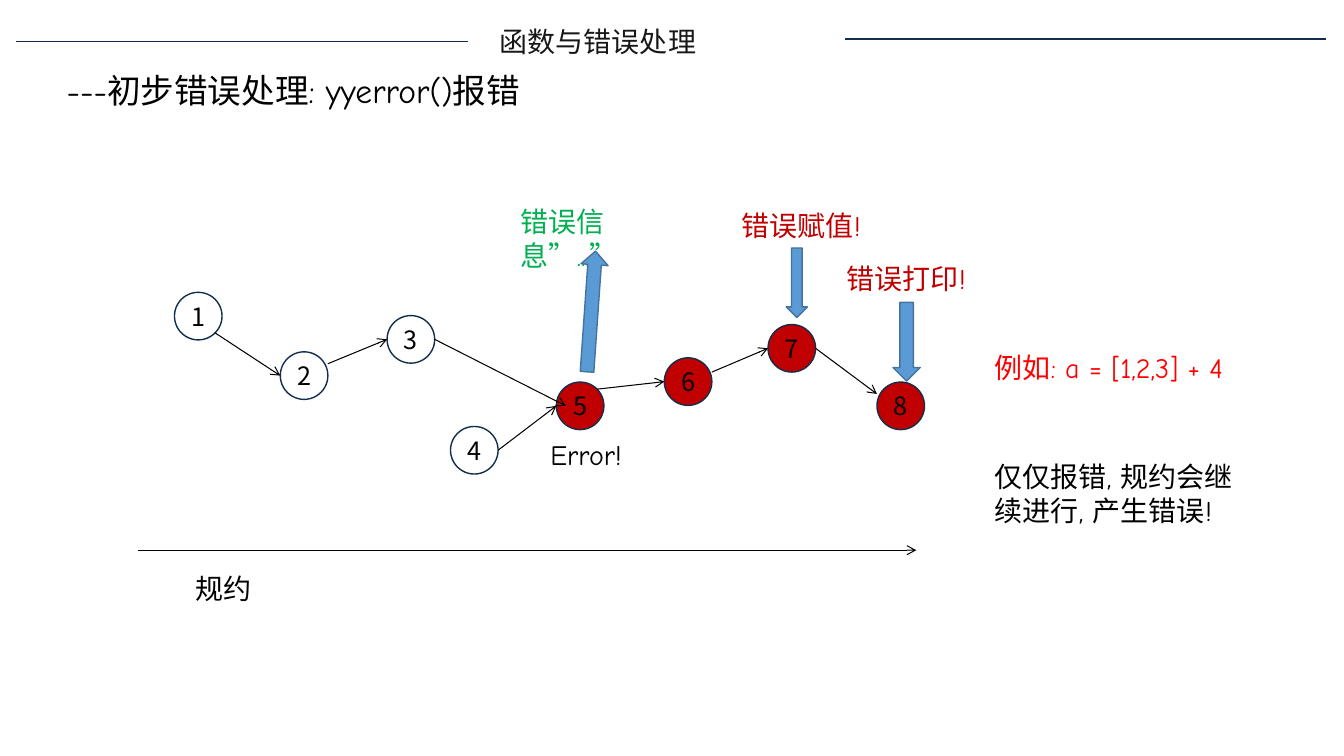
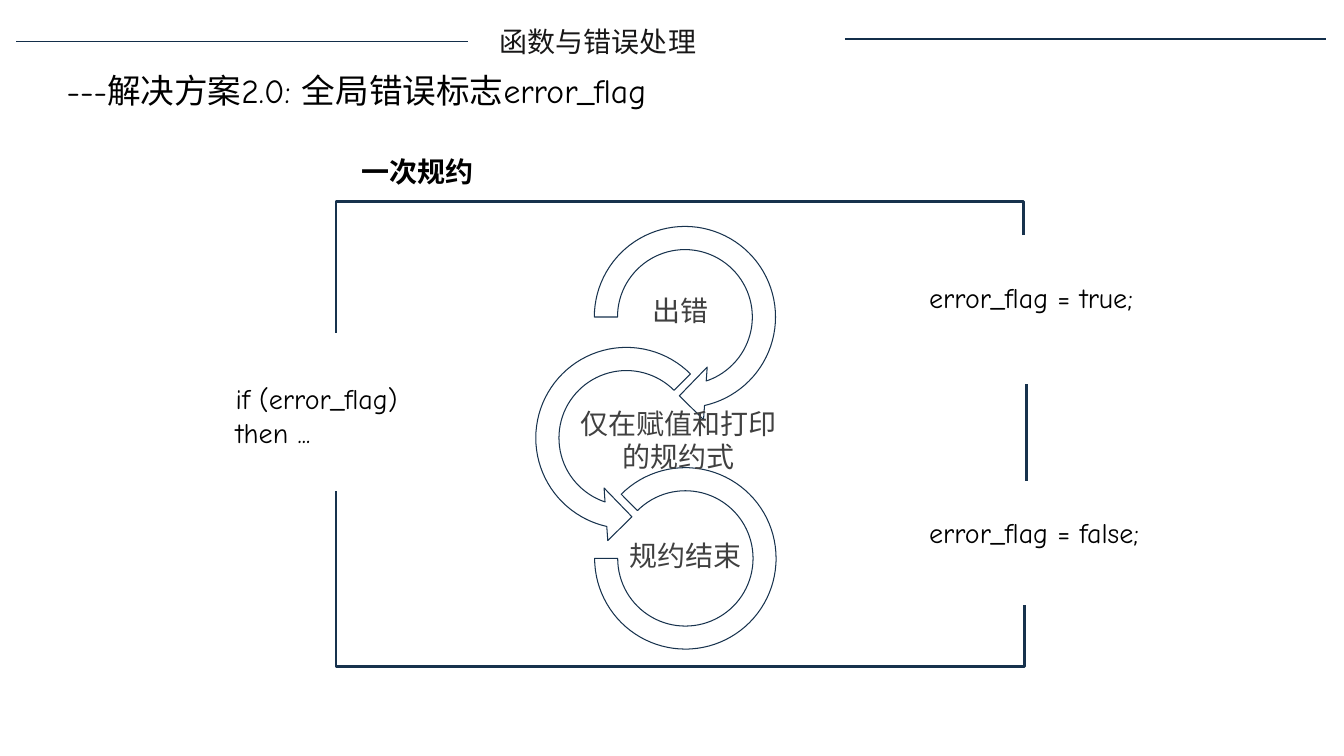
import pptx
import pptx.util
import pptx.dml.color
import pptx.enum.shapes
import pptx.enum.text
import pptx.oxml.ns
import lxml.etree

Pt = pptx.util.Pt
MSO_SHAPE = pptx.enum.shapes.MSO_SHAPE
ALIGN = pptx.enum.text.PP_ALIGN
ANCHOR = pptx.enum.text.MSO_ANCHOR
qn = pptx.oxml.ns.qn

COLORS = {
    "black": "000000", "heading": "181717", "navy": "132E4A", "frame": "17324D",
    "error": "C00000", "red": "FF0000", "green": "00B050", "gray": "404040",
    "arrow": "5B9BD5", "arrow_edge": "43739E",
}
HAND, CJK, ROUND = "Comic Neue", "Noto Sans CJK SC", "Quicksand"

SECTION = "函数与错误处理"
SECTION_BOX = (357, 17.3, 217, 24.5)
SECTION_RULES = [((11.5, 29.5), (334, 29.5)), ((603.5, 28), (947.5, 28))]
TITLE_BOX = (40.3, 46, 524, 36)

REDUCTION_TITLE = "---初步错误处理: yyerror()报错"
NODE_SIZE = 34
NODES = {
    1: (124.6, 208.8, None), 2: (200.2, 251.3, None), 3: (276.5, 225.4, None),
    4: (321.8, 304.6, None), 5: (397.4, 272.9, "error"), 6: (474.5, 255.6, "error"),
    7: (548.6, 231.8, "error"), 8: (626.4, 272.9, "error"),
}
LINKS = [
    (1, (0.85, 0.85), 2, (0, 0.5)), (2, (1, 0.25), 3, (0, 0.5)),
    (3, (1, 0.5), 5, (0.2, 0.5)), (4, (1, 0.5), 5, (0, 0.5)),
    (5, (0.85, 0.15), 6, (0, 0.5)), (6, (1, 0.3), 7, (0, 0.5)),
    (7, (1, 0.5), 8, (0, 0.25)),
]
REDUCTION_AXIS = ((98.6, 393), (654.5, 393))
EFFECT_ARROWS = [
    ((412.6, 179.3, 19.4, 86.4), 184),
    ((561.6, 177.1, 15.1, 49.7), 0),
    ((637.9, 216, 19.4, 56.2), 0),
]
REDUCTION_NOTES = [
    ("Error!", (386, 309, 94, 32), "black"),
    ("规约", (132.5, 404.6, 94, 32), "black"),
    ("错误信息”...”", (365, 142.6, 133, 32), "green"),
    ("错误打印!", (597.6, 183, 106.6, 32), "error"),
    ("错误赋值!", (522.7, 145.4, 103.7, 32), "error"),
    ("仅仅报错, 规约会继续进行, 产生错误!", (703.4, 324.7, 192, 55.4), "black"),
    ("例如: a = [1,2,3] + 4", (703.4, 247, 192, 32), "red"),
]

FLAG_TITLE = "---解决方案2.0: 全局错误标志error_flag"
CYCLE = [
    (MSO_SHAPE.CIRCULAR_ARROW, (414, 151.2, 150.5, 150.5), (0.11, 11.42, 45, 108, 0.125)),
    (MSO_SHAPE.LEFT_CIRCULAR_ARROW, (372.2, 237.6, 150.5, 150.5), (0.11, 11.42, 63, 189, 0.125)),
    (MSO_SHAPE.BLOCK_ARC, (424.8, 334.1, 129.6, 129.6), (135, 108, 0.127)),
]
CYCLE_STEPS = [
    ("出错", (447.8, 206, 76.3, 32)),
    ("仅在赋值和打印的规约式", (404.6, 286.6, 159.8, 55.4)),
    ("规约结束", (404.6, 381, 170, 32)),
]
FRAME_LEFT, FRAME_TOP, FRAME_BOTTOM = 239.8, 144, 476
FRAME_PARTS = [
    [(FRAME_LEFT, 351.4), (FRAME_LEFT, FRAME_BOTTOM), (732.2, FRAME_BOTTOM), (732.2, 432)],
    [(730.8, 167.8), (730.8, FRAME_TOP), (FRAME_LEFT, FRAME_TOP), (FRAME_LEFT, 238.3)],
]
FRAME_SIDE = ((733, 343.4), (733, 274.3))
FLAG_NOTES = [
    ("error_flag = true;", (656.6, 196.6, 218, 32), False),
    ("error_flag = false;", (656.6, 365, 283, 32), False),
    ("一次规约", (251.3, 106.6, 96.5, 32), True),
    ("if (error_flag)\nthen ...", (161.3, 269.3, 208, 55.4), False),
]


def rgb(name):
    return pptx.dml.color.RGBColor.from_string(COLORS[name])


def points(values):
    return [Pt(value) for value in values]


def write(frame, text, color, size=20, font=HAND, align=ALIGN.LEFT,
          bold=False, anchor=ANCHOR.TOP, inset=None):
    frame.text = text
    frame.word_wrap = True
    frame.auto_size = pptx.enum.text.MSO_AUTO_SIZE.NONE
    frame.vertical_anchor = anchor
    if inset is not None:
        frame.margin_left = frame.margin_right = Pt(inset)
        frame.margin_top = frame.margin_bottom = Pt(inset)
    for paragraph in frame.paragraphs:
        paragraph.alignment = align
        paragraph.font.name = font
        paragraph.font.size = Pt(size)
        paragraph.font.bold = bold
        paragraph.font.color.rgb = rgb(color)


def add_text(slide, text, box, color, **style):
    write(slide.shapes.add_textbox(*points(box)).text_frame, text, color, **style)


def paint(shape, fill, edge, width):
    shape.shadow.inherit = False
    if fill:
        shape.fill.solid()
        shape.fill.fore_color.rgb = rgb(fill)
    else:
        shape.fill.background()
    shape.line.color.rgb = rgb(edge)
    shape.line.width = Pt(width)


def add_line(slide, start, end, color="black", width=0.75, arrow=False):
    line = slide.shapes.add_connector(
        pptx.enum.shapes.MSO_CONNECTOR.STRAIGHT, *points(start + end))
    line.line.color.rgb = rgb(color)
    line.line.width = Pt(width)
    properties = line.element.spPr
    if arrow:
        lxml.etree.SubElement(properties.find(qn("a:ln")), qn("a:tailEnd"), type="arrow")
    lxml.etree.SubElement(properties, qn("a:effectLst"))


def add_page(deck, title):
    slide = deck.slides.add_slide(deck.slide_layouts[5])
    heading = slide.shapes.title
    heading.left, heading.top, heading.width, heading.height = points(TITLE_BOX)
    write(heading.text_frame, title, "black", size=24)
    add_text(slide, SECTION, SECTION_BOX, "heading", font=CJK,
             align=ALIGN.JUSTIFY, anchor=ANCHOR.MIDDLE, inset=0)
    for start, end in SECTION_RULES:
        add_line(slide, start, end, "navy", 1)
    return slide


def node_point(number, fraction):
    left, top, _ = NODES[number]
    return left + NODE_SIZE * fraction[0], top + NODE_SIZE * fraction[1]


def build_reduction(deck):
    slide = add_page(deck, REDUCTION_TITLE)
    add_line(slide, *REDUCTION_AXIS, arrow=True)
    for number, (left, top, fill) in NODES.items():
        node = slide.shapes.add_shape(
            MSO_SHAPE.OVAL, *points((left, top, NODE_SIZE, NODE_SIZE)))
        paint(node, fill, "navy", 1)
        write(node.text_frame, str(number), "black", size=18, font=CJK,
              align=ALIGN.CENTER, anchor=ANCHOR.MIDDLE, inset=0)
    for source, leaving, target, entering in LINKS:
        add_line(slide, node_point(source, leaving), node_point(target, entering), arrow=True)
    for text, box, color in REDUCTION_NOTES:
        add_text(slide, text, box, color)
    for box, rotation in EFFECT_ARROWS:
        effect = slide.shapes.add_shape(MSO_SHAPE.DOWN_ARROW, *points(box))
        effect.rotation = rotation
        paint(effect, "arrow", "arrow_edge", 1)


def build_flag(deck):
    slide = add_page(deck, FLAG_TITLE)
    for kind, box, adjustments in CYCLE:
        arc = slide.shapes.add_shape(kind, *points(box))
        for index, value in enumerate(adjustments):
            arc.adjustments[index] = value
        paint(arc, None, "frame", 0.75)
    for text, box in CYCLE_STEPS:
        add_text(slide, text, box, "gray", font=ROUND, align=ALIGN.CENTER)
    for corners in FRAME_PARTS:
        outline = slide.shapes.build_freeform(*corners[0], scale=Pt(1))
        outline.add_line_segments(corners[1:], close=False)
        paint(outline.convert_to_shape(), None, "frame", 2)
    add_line(slide, *FRAME_SIDE, "frame", 2)
    for text, box, bold in FLAG_NOTES:
        add_text(slide, text, box, "black", bold=bold)


def main():
    deck = pptx.Presentation()
    deck.slide_width, deck.slide_height = Pt(960), Pt(540)
    build_reduction(deck)
    build_flag(deck)
    deck.save("out.pptx")


if __name__ == "__main__":
    main()
